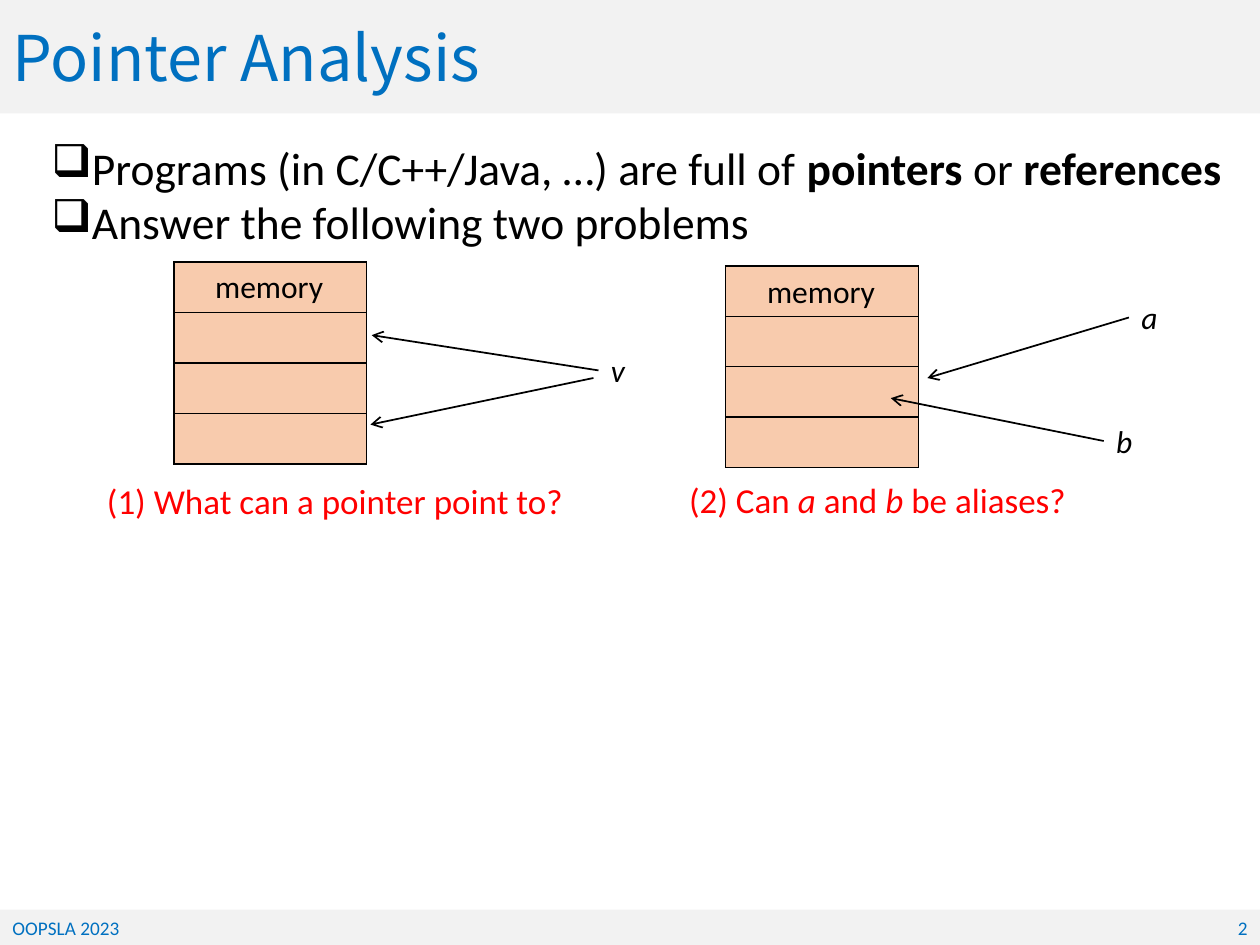
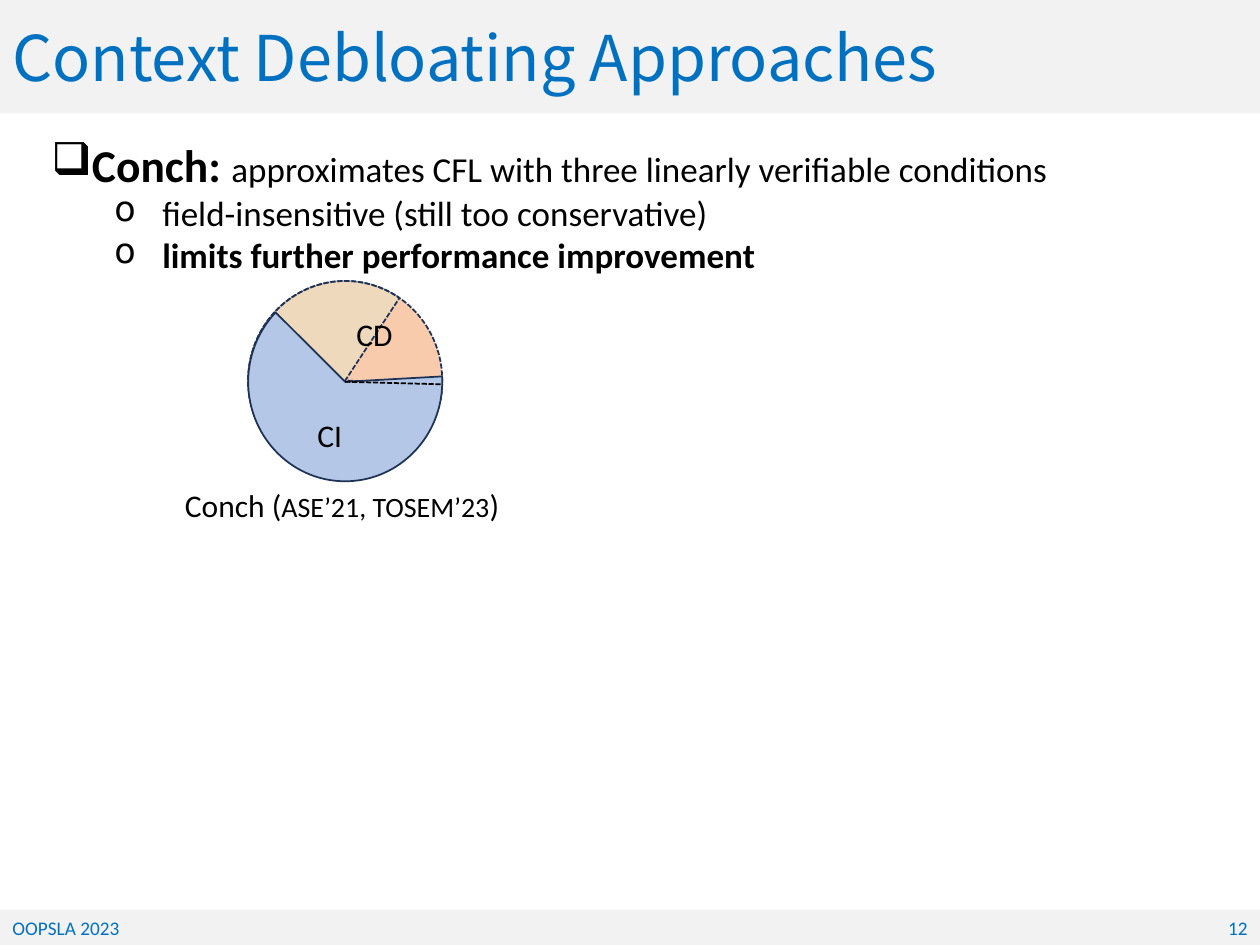
from lxml import etree
from pptx import Presentation
from pptx.dml.color import RGBColor
from pptx.enum.dml import MSO_LINE
from pptx.enum.shapes import MSO_CONNECTOR, MSO_SHAPE
from pptx.enum.text import MSO_ANCHOR, MSO_AUTO_SIZE, PP_ALIGN
from pptx.oxml.ns import qn
from pptx.util import Inches, Pt

RECT, OVAL, PIE = MSO_SHAPE.RECTANGLE, MSO_SHAPE.OVAL, MSO_SHAPE.PIE
STRAIGHT = MSO_CONNECTOR.STRAIGHT
DASH = MSO_LINE.SQUARE_DOT
LEFT, RIGHT = PP_ALIGN.LEFT, PP_ALIGN.RIGHT
MIDDLE = MSO_ANCHOR.MIDDLE
GROW = MSO_AUTO_SIZE.SHAPE_TO_FIT_TEXT

COLORS = {"band": "F2F2F2", "blue": "0070C0", "black": "000000", "red": "FF0000",
          "peach": "F8CBAD", "green": "E2F0D9", "sky": "B4C7E7", "navy": "1E3256"}
RGB = {name: RGBColor.from_string(value) for name, value in COLORS.items()}
FONT, TITLE_FONT = "Calibri", "Noto Sans CJK SC"


def add_text(s, at, paragraphs, size=18, color="black", wrap=False, align=LEFT):
    """Each paragraph is (runs, margin, indent, bullet); each run is (text, style, size)."""
    tb = s.shapes.add_textbox(*map(Inches, at))
    tf = tb.text_frame
    tf.word_wrap = wrap
    if not wrap:
        tf.auto_size = GROW
    for i, (runs, margin, indent, bullet) in enumerate(paragraphs):
        p = tf.paragraphs[0] if i == 0 else tf.add_paragraph()
        p.alignment = align
        p.level = 1 if margin > 0.4 else 0
        pPr = p._p.get_or_add_pPr()
        pPr.set("marL", str(Inches(margin)))
        pPr.set("indent", str(Inches(indent)))
        if bullet:
            etree.SubElement(pPr, qn("a:buChar")).set("char", bullet)
        for text, style, run_size in runs:
            r = p.add_run()
            r.text = text
            r.font.name = FONT
            r.font.size = Pt(run_size or size)
            r.font.bold = style == "b"
            r.font.italic = style == "i"
            r.font.color.rgb = RGB[color]
    return tb


def add_line(s, start, end, arrow=False):
    c = s.shapes.add_connector(STRAIGHT, *map(Inches, start + end))
    c.line.color.rgb = RGB["black"]
    c.line.width = Pt(1)
    if arrow:
        etree.SubElement(c.line._get_or_add_ln(), qn("a:tailEnd")).set("type", "arrow")
    else:
        c.line.dash_style = DASH
    etree.SubElement(c._element.spPr, qn("a:effectLst"))
    return c


prs = Presentation()
prs.slide_width, prs.slide_height = Inches(10), Inches(7.5)

# Shared bands, title, footer and page number
slides = []
for title, page in [("Pointer Analysis", "2"), ("Context Debloating Approaches", "12")]:
    s = prs.slides.add_slide(prs.slide_layouts[6])
    slides.append(s)
    for top, height, text in [(7.22, 0.28, ""), (0, 0.9, title)]:
        sp = s.shapes.add_shape(RECT, 0, Inches(top), Inches(10), Inches(height))
        sp.shadow.inherit = False
        sp.fill.solid()
        sp.fill.fore_color.rgb = RGB["band"]
        sp.line.fill.background()
        if text:
            tf = sp.text_frame
            tf.text = text
            tf.vertical_anchor = MIDDLE
            p = tf.paragraphs[0]
            p.alignment = LEFT
            r = p.runs[0]
            r.font.name = TITLE_FONT
            r.font.size = Pt(36)
            r.font.color.rgb = RGB["blue"]
            for tag in ("a:ea", "a:cs"):
                etree.SubElement(r._r.rPr, qn(tag)).set("typeface", TITLE_FONT)
    for at, text, align in [((9.48, 7.22, 0.52, 0.29), page, RIGHT),
                            ((0, 7.22, 2.12, 0.29), "OOPSLA 2023", LEFT)]:
        add_text(s, at, [([(text, "", 0)], 0, 0, "")], 11, "blue", True, align)

# Slide 1: the two problems
s = slides[0]
add_text(s, (0.31, 1.06, 9.54, 3.4), [
    ([("Programs (in C/C++/Java, …) are full of ", "", 0), ("pointers", "b", 0),
      (" or ", "", 0), ("references", "b", 0)], 0.31, -0.31, "❑"),
    ([("Answer the following two problems", "", 0)], 0.31, -0.31, "❑")], 26, wrap=True)

# Memory tables with black cell borders
for left, top, label_top in [(1.38, 2.08, 2.07), (5.76, 2.11, 2.11)]:
    table = s.shapes.add_table(4, 1, Inches(left), Inches(top), Inches(1.53), Inches(1.6)).table
    table.first_row = table.horz_banding = False
    for row in table.rows:
        row.height = Inches(0.4)
        cell = row.cells[0]
        tcPr = cell._tc.get_or_add_tcPr()
        for side in ("a:lnL", "a:lnR", "a:lnT", "a:lnB"):
            ln = etree.SubElement(tcPr, qn(side), w=str(Pt(1)))
            fill = etree.SubElement(ln, qn("a:solidFill"))
            etree.SubElement(fill, qn("a:srgbClr"), val=COLORS["black"])
        cell.fill.solid()
        cell.fill.fore_color.rgb = RGB["peach"]
    add_text(s, (left + 0.23, label_top, 1.07, 0.4), [([("memory", "", 0)], 0, 0, "")])

# Pointer variables, each with an arrow from its left side
for name, left, top, target in [("v", 4.75, 2.74, (2.95, 2.66)),
                                ("a", 8.96, 2.32, (7.36, 3)),
                                ("b", 8.76, 3.3, (7.07, 3.16))]:
    tb = add_text(s, (left, top, 0.33, 0.4), [([(name, "i", 0)], 0, 0, "")])
    c = add_line(s, (left, top + 0.2), target, arrow=True)
    c.begin_connect(tb, 1)
add_line(s, (4.71, 3), (2.94, 3.37), arrow=True)

# Questions
for at, runs in [
        ((4.87, 3.75, 4.61, 0.44), [("(2) Can ", "", 0), ("a", "i", 0), (" and ", "", 0),
                                    ("b", "i", 0), (" be aliases?", "", 0)]),
        ((0.25, 3.76, 4.41, 0.44), [("(1) What can a pointer point to?", "", 0)])]:
    add_text(s, at, [(runs, 0.5, 0, "")], 20, "red", True)

# Slide 2: Conch
s = slides[1]
add_text(s, (0.31, 1.04, 9.17, 1.21), [
    ([("Conch: ", "b", 26),
      ("approximates CFL with three linearly verifiable conditions", "", 0)], 0.31, -0.31, "❑"),
    ([("field-insensitive (still too conservative)", "", 0)], 0.88, -0.38, "o"),
    ([("limits further performance improvement", "b", 0)], 0.88, -0.38, "o")], 20, wrap=True)

# Pie of context-dependent and context-independent parts, angles in degrees
for kind, top, color, angles, dashed in [(OVAL, 2.23, "peach", (), True),
                                         (PIE, 2.23, "green", (2.36, 303.33), True),
                                         (PIE, 2.24, "sky", (356.84, 224.9), False)]:
    sp = s.shapes.add_shape(kind, Inches(1.97), Inches(top), Inches(1.54), Inches(1.58))
    sp.shadow.inherit = False
    for i, angle in enumerate(angles):
        sp.adjustments[i] = angle * 0.6  # 60000 units a degree, scaled by 100000
    sp.fill.solid()
    sp.fill.fore_color.rgb = RGB[color]
    if color == "green":
        clr = sp._element.spPr.find(qn("a:solidFill"))[0]
        etree.SubElement(clr, qn("a:alpha"), val="38000")
    sp.line.color.rgb = RGB["navy"]
    sp.line.width = Pt(1)
    if dashed:
        sp.line.dash_style = DASH
add_line(s, (2.74, 3.03), (3.51, 3.05))

# Pie labels and caption
for at, runs in [((2.42, 3.25, 0.4, 0.4), [("CI", "", 0)]),
                 ((2.73, 2.45, 0.49, 0.4), [("CD", "", 0)]),
                 ((1.37, 3.81, 2.73, 0.4), [("Conch (", "", 0), ("ASE’21, TOSEM’23", "", 16),
                                            (")", "", 0)])]:
    add_text(s, at, [(runs, 0, 0, "")])

prs.save("out.pptx")
